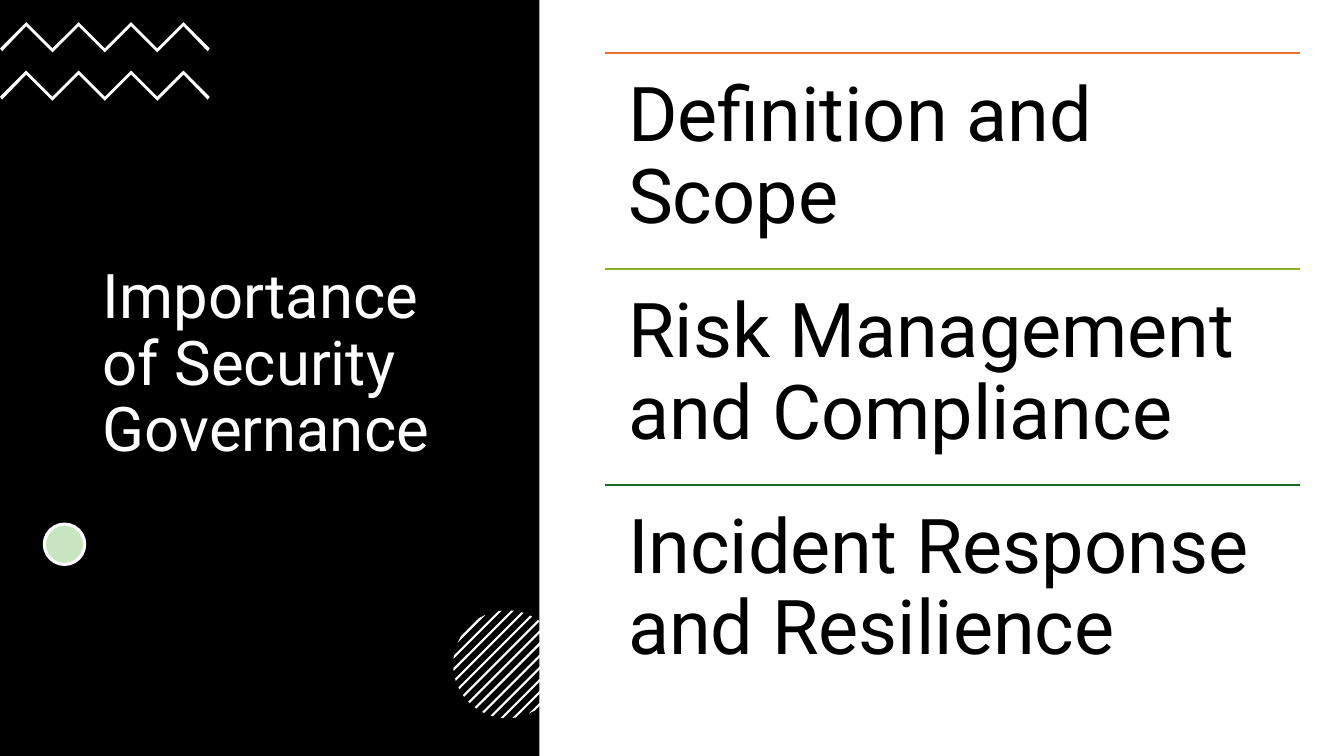
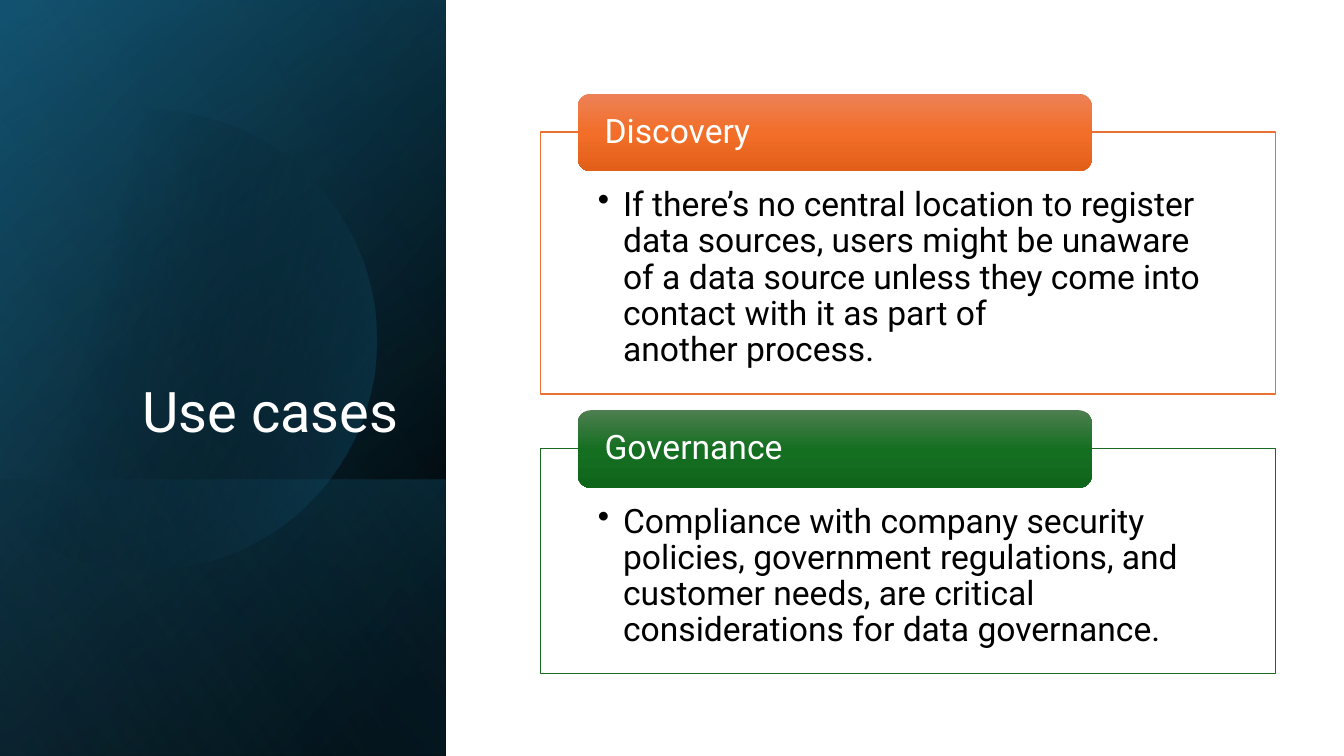
"""Build two slides on security governance and its use cases."""
from dataclasses import dataclass
from math import cos, radians, sin, sqrt

from lxml import etree
from pptx import Presentation
from pptx import util as u
from pptx.dml.color import RGBColor
from pptx.enum import shapes as kinds
from pptx.enum import text as modes
from pptx.oxml.ns import qn

PX = 9144
WIDE, HIGH = 1333, 750
FONT = "Roboto"
WHITE = RGBColor(0xFF, 0xFF, 0xFF)
BLACK = RGBColor(0x00, 0x00, 0x00)
ORANGE = RGBColor(0xE9, 0x71, 0x32)
LIME = RGBColor(0x8E, 0xB2, 0x1E)
GREEN = RGBColor(0x19, 0x6B, 0x24)
MINT = RGBColor(0xC9, 0xE4, 0xC0)
NAVY = RGBColor(0x10, 0x48, 0x62)
TEAL = RGBColor(0x15, 0x60, 0x82)
SKY = RGBColor(0x46, 0xB1, 0xE1)
RECT = kinds.MSO_SHAPE.RECTANGLE
ROUND = kinds.MSO_SHAPE.ROUNDED_RECTANGLE
OVAL = kinds.MSO_SHAPE.OVAL
TOP = modes.MSO_ANCHOR.TOP
MIDDLE = modes.MSO_ANCHOR.MIDDLE
BOTTOM = modes.MSO_ANCHOR.BOTTOM
LEFT = modes.PP_ALIGN.LEFT
RIGHT = modes.PP_ALIGN.RIGHT


@dataclass(frozen=True)
class Box:
    x: int
    y: int
    w: int
    h: int

    def emu(self) -> list[int]:
        return [n * PX for n in (self.x, self.y, self.w, self.h)]


@dataclass(frozen=True)
class Stop:
    pos: int
    color: RGBColor
    alpha: int = 100


@dataclass(frozen=True)
class Look:
    size: int
    color: RGBColor
    anchor: modes.MSO_ANCHOR = TOP
    align: modes.PP_ALIGN = LEFT
    inset: tuple[int, int, int, int] = (10, 5, 10, 5)
    bullet: bool = False


@dataclass(frozen=True)
class Topic:
    text: str
    color: RGBColor


@dataclass(frozen=True)
class Case:
    head: str
    body: str
    box: Box
    color: RGBColor
    tones: tuple[RGBColor, RGBColor, RGBColor]


@dataclass(frozen=True)
class Layer:
    box: Box
    stops: tuple[Stop, ...]
    angle: int


TOPICS = (
    Topic("Definition and Scope", ORANGE),
    Topic("Risk Management and Compliance", LIME),
    Topic("Incident Response and Resilience", GREEN),
)
CASES = (
    Case(
        "Discovery",
        "If there’s no central location to register data sources, users might "
        "be unaware of a data source unless they come into contact with it as "
        "part of\vanother process.",
        Box(536, 131, 729, 260),
        ORANGE,
        (RGBColor(0xED, 0x82, 0x57), RGBColor(0xF2, 0x6E, 0x29), RGBColor(0xE2, 0x5F, 0x1A)),
    ),
    Case(
        "Governance",
        "Compliance with company security policies, government regulations, "
        "and customer needs, are critical considerations for data governance.",
        Box(536, 445, 729, 223),
        GREEN,
        (RGBColor(0x4D, 0x7E, 0x50), RGBColor(0x15, 0x6F, 0x21), RGBColor(0x0F, 0x66, 0x1B)),
    ),
)
PANEL = Box(0, 0, 442, HIGH)
BACK = (
    Layer(PANEL, (Stop(0, NAVY), Stop(92, BLACK)), 40),
    Layer(PANEL, (Stop(1, TEAL, 46), Stop(100, BLACK, 0)), 60),
    Layer(Box(0, 476, 442, 274), (Stop(2, TEAL, 29), Stop(100, BLACK, 30)), 140),
)
GLOW = (Stop(29, BLACK, 0), Stop(100, TEAL, 43))
FRONT = Layer(PANEL, (Stop(0, BLACK, 0), Stop(99, SKY, 11)), 150)


def blend(shape, stops: tuple[Stop, ...], angle: int) -> None:
    """Fill a shape with a linear gradient."""
    shape.fill.gradient()
    grad = shape.element.spPr.find(qn("a:gradFill"))
    for part in list(grad):
        grad.remove(part)
    marks = etree.SubElement(grad, qn("a:gsLst"))
    for stop in stops:
        mark = etree.SubElement(marks, qn("a:gs"), pos=str(stop.pos * 1000))
        color = etree.SubElement(mark, qn("a:srgbClr"), val=str(stop.color))
        if stop.alpha < 100:
            etree.SubElement(color, qn("a:alpha"), val=str(stop.alpha * 1000))
    etree.SubElement(grad, qn("a:lin"), ang=str(angle * 60000), scaled="0")


def plain(shape, fill: RGBColor | None = None, line: RGBColor | None = None, width: float = 1):
    """Drop the shadow and set fill and line."""
    shape.shadow.inherit = False
    if fill is not None:
        shape.fill.solid()
        shape.fill.fore_color.rgb = fill
    if line is None:
        shape.line.fill.background()
    else:
        shape.line.color.rgb = line
        shape.line.width = u.Pt(width)
    return shape


def write(shape, text: str, look: Look) -> None:
    """Put one styled paragraph into a shape."""
    frame = shape.text_frame
    frame.text = text
    frame.word_wrap = True
    frame.auto_size = modes.MSO_AUTO_SIZE.NONE
    frame.vertical_anchor = look.anchor
    (frame.margin_left, frame.margin_top,
     frame.margin_right, frame.margin_bottom) = [n * PX for n in look.inset]
    para = frame.paragraphs[0]
    para.alignment = look.align
    para.line_spacing = 0.9
    if look.bullet:
        props = para._p.get_or_add_pPr()
        props.set("marL", str(25 * PX))
        props.set("indent", str(-25 * PX))
        etree.SubElement(props, qn("a:buChar"), char="•")
    for run in para.runs:
        run.font.name = FONT
        run.font.size = u.Pt(look.size)
        run.font.color.rgb = look.color


def title(slide, text: str, box: Box, look: Look) -> None:
    """Place the title above what is drawn so far."""
    head = slide.shapes.title
    head.left, head.top, head.width, head.height = box.emu()
    write(head, text, look)
    head.element.getparent().append(head.element)


def trace(slide, points: list[tuple[float, float]]):
    """Draw a closed outline through points."""
    spots = [(x * PX, y * PX) for x, y in points]
    pen = slide.shapes.build_freeform(*spots[0], scale=1.0)
    pen.add_line_segments(spots[1:], close=True)
    return pen.convert_to_shape()


def zigzag(slide, top: int) -> None:
    """Draw a white zigzag band from the left edge."""
    step, last = 26, 8
    upper = [(i * step, top + (0 if i % 2 else 26)) for i in range(last + 1)]
    lower = [(x, y + 4) for x, y in upper[1:-1]]
    ends = [(2, top + 29), (last * step - 2, top + 29)]
    plain(trace(slide, upper + [ends[1]] + lower[::-1] + [ends[0]]), WHITE)


def hatch(slide, mid_x: int, mid_y: int, radius: float) -> None:
    """Draw a disc of diagonal stripes."""
    for k in range(-6, 7):
        points = []
        for edge, order in ((-1.5, (-1, 1)), (1.5, (1, -1))):
            off = (12 * k + edge) / sqrt(2)
            half = sqrt(max(radius ** 2 - off ** 2, 0))
            points += [(mid_x + (off + s * half) / sqrt(2),
                        mid_y + (off - s * half) / sqrt(2)) for s in order]
        plain(trace(slide, points), WHITE)


def layer(slide, item: Layer) -> None:
    """Draw one gradient panel."""
    blend(plain(slide.shapes.add_shape(RECT, *item.box.emu())), item.stops, item.angle)


def topic(slide, item: Topic, box: Box) -> None:
    """Draw a topic under its rule."""
    rule = slide.shapes.add_connector(
        kinds.MSO_CONNECTOR.STRAIGHT,
        *[n * PX for n in (box.x, box.y, box.x + box.w, box.y)])
    rule.line.color.rgb = item.color
    rule.line.width = u.Pt(1.5)
    etree.SubElement(rule.element.spPr, qn("a:effectLst"))
    label = slide.shapes.add_textbox(*box.emu())
    write(label, item.text, Look(54, BLACK, inset=(23, 23, 23, 23)))


def case(slide, item: Case) -> None:
    """Draw a framed case with its tab."""
    box = item.box
    frame = plain(slide.shapes.add_shape(RECT, *box.emu()), WHITE, item.color)
    write(frame, item.body, Look(24, BLACK, inset=(57, 55, 57, 19), bullet=True))
    tab = plain(slide.shapes.add_shape(ROUND, *Box(box.x + 37, box.y - 38, 510, 77).emu()))
    blend(tab, tuple(Stop(50 * i, tone) for i, tone in enumerate(item.tones)), 90)
    write(tab, item.head, Look(24, WHITE, MIDDLE, inset=(23, 0, 23, 0)))


def govern(slide) -> None:
    """Build the governance slide."""
    plain(slide.shapes.add_shape(RECT, *Box(0, 0, 535, HIGH).emu()), BLACK)
    title(slide, "Importance of Security Governance",
          Box(92, 131, 350, 463), Look(44, WHITE, MIDDLE))
    for top in (22, 70):
        zigzag(slide, top)
    plain(slide.shapes.add_shape(OVAL, *Box(44, 520, 40, 40).emu()), MINT, WHITE, 2.25)
    hatch(slide, 503, 659, 53.5)
    for i, item in enumerate(TOPICS):
        topic(slide, item, Box(600, 53 + 214 * i, 689, 214))


def uses(slide) -> None:
    """Build the use case slide."""
    for item in BACK:
        layer(slide, item)
    mid_x, mid_y, radius = 145, 337, 228
    arc = [(mid_x + radius * cos(radians(a)), mid_y + radius * sin(radians(a)))
           for a in range(-129, 130, 2)]
    blend(plain(trace(slide, arc)), GLOW, 14)
    layer(slide, FRONT)
    title(slide, "Use cases", Box(64, 184, 341, 262), Look(40, WHITE, BOTTOM, RIGHT))
    for item in CASES:
        case(slide, item)


def main() -> None:
    """Build and save the deck."""
    deck = Presentation()
    deck.slide_width, deck.slide_height = WIDE * PX, HIGH * PX
    for build in (govern, uses):
        build(deck.slides.add_slide(deck.slide_layouts[5]))
    deck.save("out.pptx")


if __name__ == "__main__":
    main()
